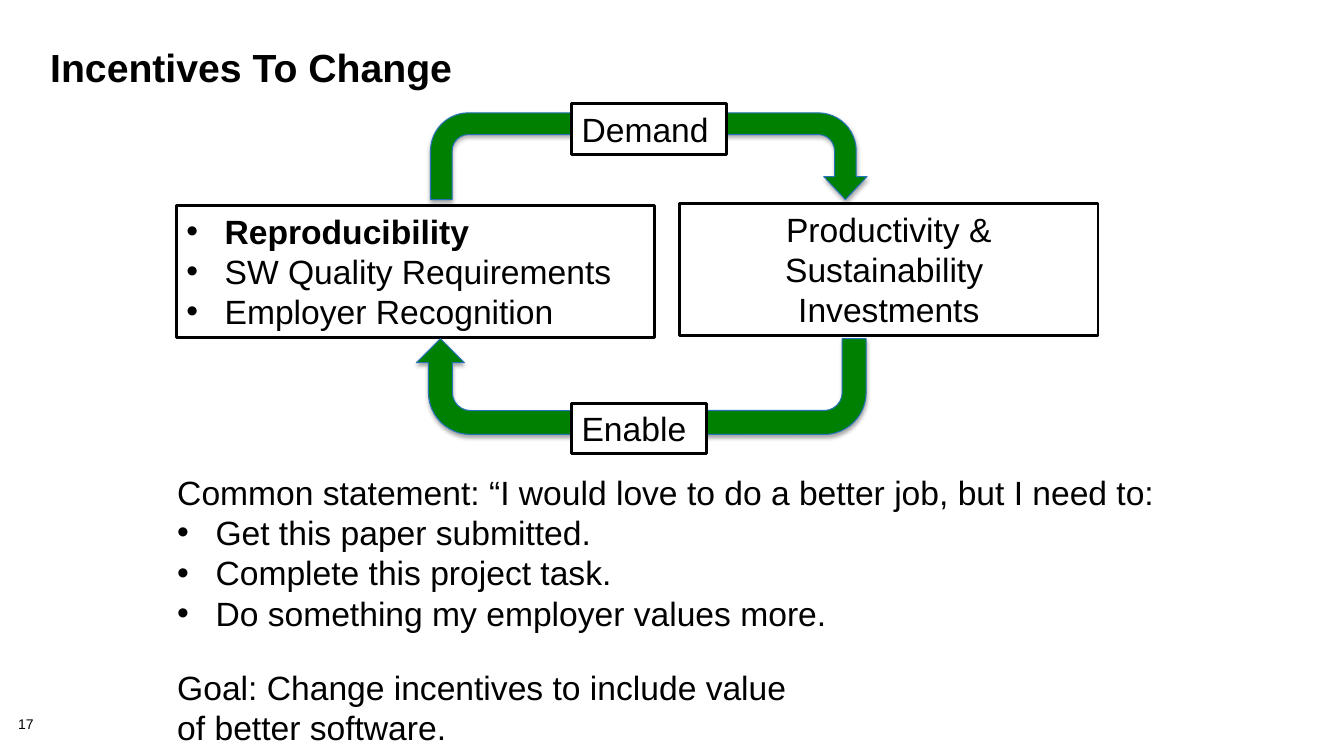
from dataclasses import dataclass

from lxml.etree import SubElement
from pptx import Presentation
from pptx.dml.color import RGBColor
from pptx.enum.shapes import MSO_SHAPE
from pptx.enum.text import MSO_ANCHOR, PP_ALIGN
from pptx.oxml.ns import qn
from pptx.util import Inches, Pt

BLACK, WHITE, GREEN, BLUE = "000000", "FFFFFF", "008000", "2673BA"


@dataclass
class Line:
    text: str
    bold: bool = False
    bullet: bool = False
    before: float = 0


@dataclass
class Box:
    area: tuple[float, float, float, float]
    lines: list[Line]
    align: PP_ALIGN = PP_ALIGN.LEFT


@dataclass
class Arrow:
    area: tuple[float, float, float, float]
    bend: float
    turn: int = 0


BOXES = [
    Box((1.75, 2.04, 4.74, 1.31), [
        Line("Reproducibility", bold=True, bullet=True),
        Line("SW Quality Requirements", bullet=True),
        Line("Employer Recognition", bullet=True),
    ]),
    Box((6.74, 2.02, 4.15, 1.31),
        [Line("Productivity & Sustainability \nInvestments")], PP_ALIGN.CENTER),
]
ARROWS = [
    Arrow((4.27, 1.12, 4.33, 0.86), 0.265),
    Arrow((4.13, 3.36, 4.46, 0.95), 0.25, 180),
]
LABELS = [
    Box((5.67, 1.03, 1.54, 0.5), [Line("Demand")]),
    Box((5.67, 4, 1.34, 0.5), [Line("Enable")]),
]
SPEECH = [
    Line("Common statement: “I would love to do a better job, but I need to:"),
    Line("Get this paper submitted.", bullet=True),
    Line("Complete this project task.", bullet=True),
    Line("Do something my employer values more.", bullet=True),
    Line("Goal: Change incentives to include value \nof better software.", before=24),
]


def color(code: str) -> RGBColor:
    return RGBColor.from_string(code)


def add_bullet(para) -> None:
    props = para._p.get_or_add_pPr()
    props.set("marL", str(Inches(0.38)))
    props.set("indent", str(-Inches(0.38)))
    SubElement(props, qn("a:buFont"), typeface="Arial")
    SubElement(props, qn("a:buChar"), char="•")


def write(frame, lines: list[Line], *, size: float = 24, align=PP_ALIGN.LEFT,
          anchor=MSO_ANCHOR.TOP, space: float = 1, inset: bool = True) -> None:
    frame.word_wrap = True
    frame.vertical_anchor = anchor
    if not inset:
        frame.margin_left = frame.margin_right = 0
        frame.margin_top = frame.margin_bottom = 0
    for index, line in enumerate(lines):
        para = frame.add_paragraph() if index else frame.paragraphs[0]
        para.text = line.text
        if line.bullet:
            add_bullet(para)
        para.alignment = align
        para.line_spacing = space
        if line.before:
            para.space_before = Pt(line.before)
        for run in para.runs:
            run.font.name = "Arial"
            run.font.size = Pt(size)
            run.font.bold = line.bold
            run.font.color.rgb = color(BLACK)


def add_text(slide, area: tuple, lines: list[Line], **style) -> None:
    write(slide.shapes.add_textbox(*map(Inches, area)).text_frame, lines, **style)


def add_form(slide, kind: MSO_SHAPE, area: tuple, fill: str, edge: str, width: float):
    shape = slide.shapes.add_shape(kind, *map(Inches, area))
    shape.shadow.inherit = False
    shape.fill.solid()
    shape.fill.fore_color.rgb = color(fill)
    shape.line.color.rgb = color(edge)
    shape.line.width = Pt(width)
    return shape


def add_box(slide, box: Box) -> None:
    shape = add_form(slide, MSO_SHAPE.RECTANGLE, box.area, WHITE, BLACK, 2)
    write(shape.text_frame, box.lines, align=box.align)


def add_arrow(slide, arrow: Arrow) -> None:
    shape = add_form(slide, MSO_SHAPE.U_TURN_ARROW, arrow.area, GREEN, BLUE, 0.75)
    for index, value in enumerate((0.25, 0.25, arrow.bend, 0.438, 1)):
        shape.adjustments[index] = value
    shape.rotation = arrow.turn
    effects = shape._element.spPr.find(qn("a:effectLst"))
    shadow = SubElement(effects, qn("a:outerShdw"), blurRad=str(Pt(3.1)),
                        dist=str(Pt(1.8)), dir="5400000", rotWithShape="0")
    tint = SubElement(shadow, qn("a:srgbClr"), val=BLACK)
    SubElement(tint, qn("a:alpha"), val="35000")


def main() -> None:
    deck = Presentation()
    deck.slide_width, deck.slide_height = Inches(13.33), Inches(7.5)
    slide = deck.slides.add_slide(deck.slide_layouts[6])
    add_text(slide, (0.18, 7.12, 0.56, 0.16), [Line("17")],
             size=10, space=0.9, inset=False)
    add_text(slide, (0.4, 0.45, 12.44, 1), [Line("Incentives To Change", bold=True)],
             size=28, space=0.85)
    for box in BOXES:
        add_box(slide, box)
    for arrow in ARROWS:
        add_arrow(slide, arrow)
    for label in LABELS:
        add_box(slide, label)
    add_text(slide, (1.66, 4.63, 10.2, 2.86), SPEECH)
    deck.save("out.pptx")


if __name__ == "__main__":
    main()
